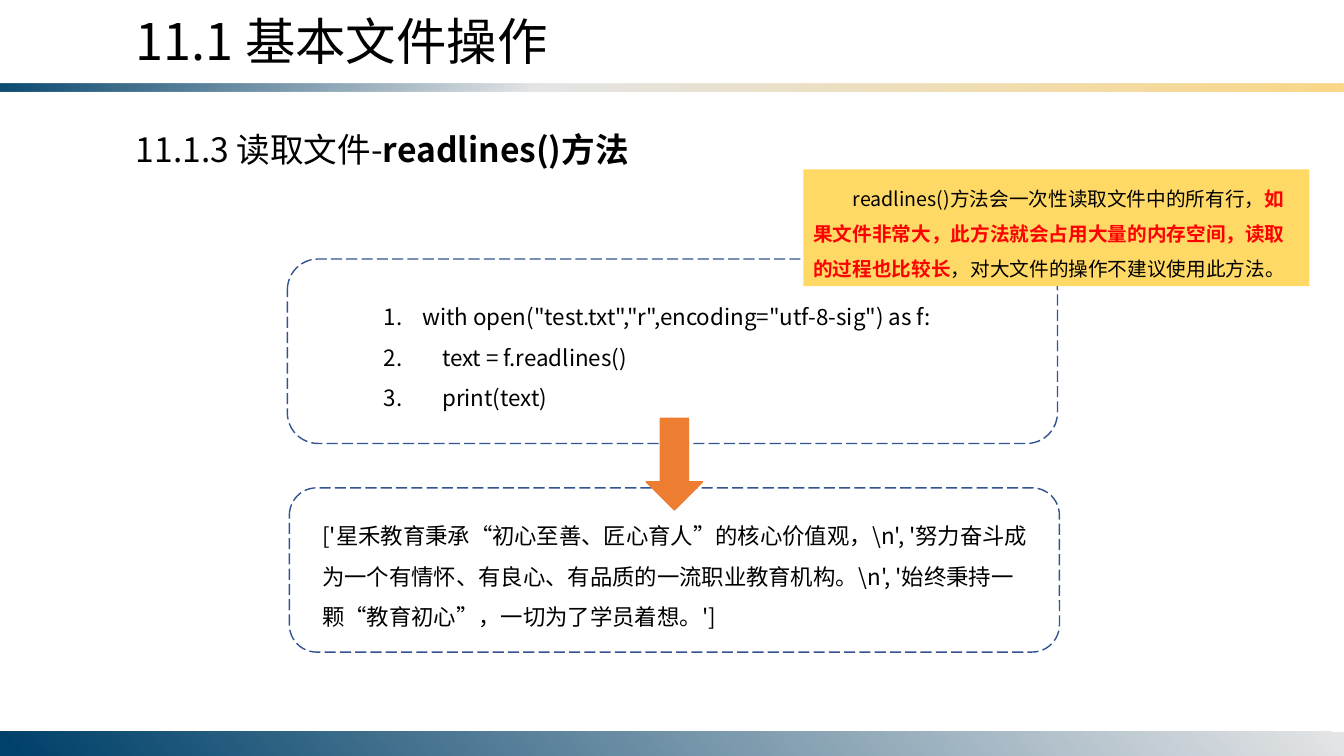
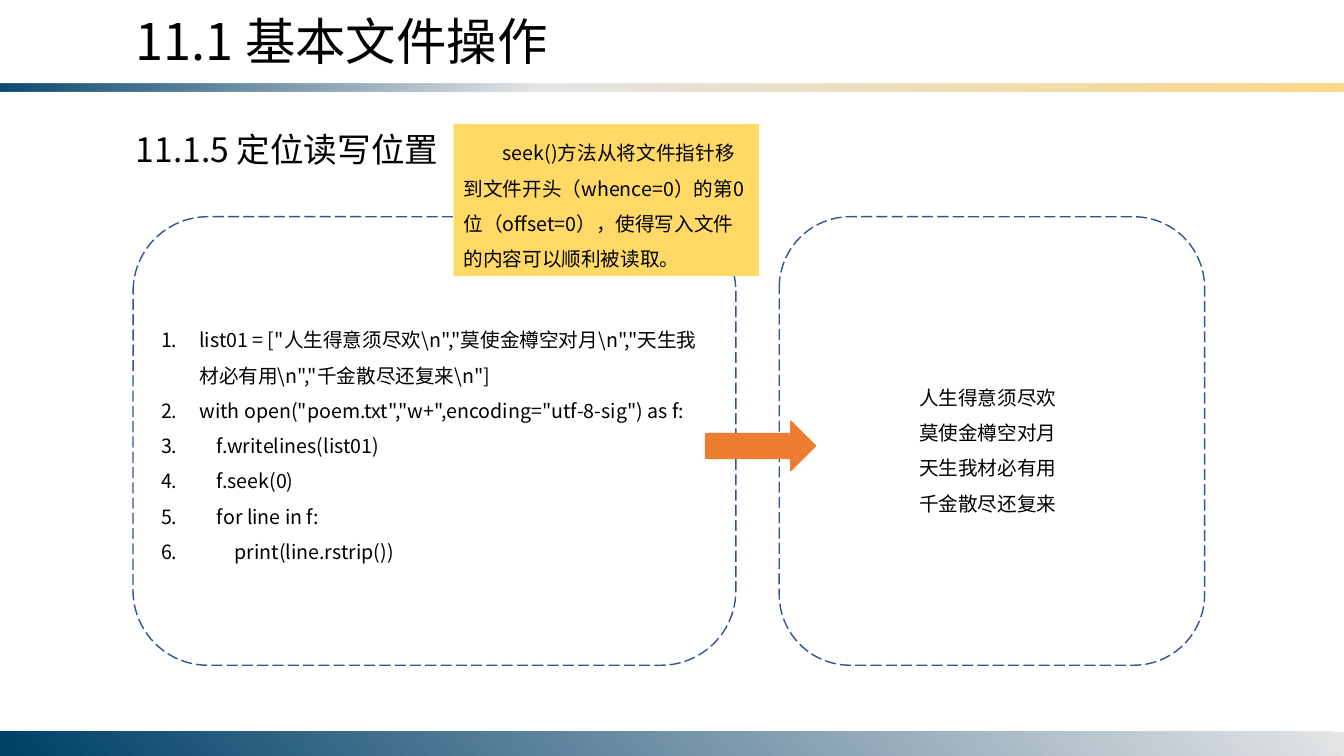
"""Build two slides on reading files and moving the file position."""
import pptx
import pptx.dml.color
import pptx.enum.dml
import pptx.enum.shapes
import pptx.enum.text
import pptx.oxml
import pptx.oxml.ns
import pptx.util

RGB = pptx.dml.color.RGBColor
SHAPE = pptx.enum.shapes.MSO_SHAPE
WIDTH = pptx.util.Inches(13.333)
HEIGHT = pptx.util.Inches(7.5)
FONT = "Noto Sans CJK SC"

BLACK = RGB(0x00, 0x00, 0x00)
RED = RGB(0xFF, 0x00, 0x00)
NAVY = RGB(0x00, 0x41, 0x6A)
SILVER = RGB(0xE4, 0xE5, 0xE6)
GOLD = RGB(0xFB, 0xD7, 0x86)
OUTLINE = RGB(0x32, 0x54, 0x91)
ORANGE = RGB(0xED, 0x7D, 0x31)
YELLOW = RGB(0xFF, 0xD9, 0x66)


def area(left, top, width, height):
    """Turn percentages of the slide into lengths."""
    return (int(WIDTH * left / 100), int(HEIGHT * top / 100),
            int(WIDTH * width / 100), int(HEIGHT * height / 100))


def add_plain_shape(slide, kind, box):
    """Add a preset shape without shadow, fill or line."""
    sp = slide.shapes.add_shape(kind, *area(*box))
    sp.shadow.inherit = False
    sp.fill.background()
    sp.line.fill.background()
    return sp


def add_band(slide, box, stops, angle):
    """Add a gradient band from (position, colour, opacity) stops."""
    sp = add_plain_shape(slide, SHAPE.RECTANGLE, box)
    stop_xml = "".join(
        f'<a:gs pos="{pos * 1000}"><a:srgbClr val="{color}">'
        f'<a:alpha val="{opacity * 1000}"/></a:srgbClr></a:gs>'
        for pos, color, opacity in stops)
    gradient = pptx.oxml.parse_xml(
        f'<a:gradFill {pptx.oxml.ns.nsdecls("a")} rotWithShape="1">'
        f'<a:gsLst>{stop_xml}</a:gsLst>'
        f'<a:lin ang="{angle * 60000}" scaled="0"/></a:gradFill>')
    spPr = sp.fill._xPr
    spPr.replace(spPr.find(pptx.oxml.ns.qn("a:noFill")), gradient)


def format_run(r, size, color, bold):
    """Apply the shared font to a run, for Latin and Chinese text."""
    r.font.size = pptx.util.Pt(size)
    r.font.name = FONT
    r.font.color.rgb = color
    r.font.bold = bold
    ea = pptx.oxml.parse_xml(
        f'<a:ea {pptx.oxml.ns.nsdecls("a")} typeface="{FONT}"/>')
    r.font._element.find(pptx.oxml.ns.qn("a:latin")).addnext(ea)


def write(tf, paragraphs, size, spacing=1.0, accent=BLACK, margin=0, indent=0, numbered=False):
    """Write paragraphs, each a list of runs where every second run is bold."""
    tf.word_wrap = True
    tf.auto_size = pptx.enum.text.MSO_AUTO_SIZE.SHAPE_TO_FIT_TEXT
    for i, runs in enumerate(paragraphs):
        p = tf.add_paragraph() if i else tf.paragraphs[0]
        p.alignment = pptx.enum.text.PP_ALIGN.LEFT
        p.line_spacing = spacing
        pPr = p._p.get_or_add_pPr()
        pPr.set("marL", str(pptx.util.Inches(margin)))
        pPr.set("indent", str(pptx.util.Inches(indent)))
        if numbered:
            pPr.append(pptx.oxml.parse_xml(
                f'<a:buAutoNum {pptx.oxml.ns.nsdecls("a")} type="arabicPeriod"/>'))
        for j, text in enumerate(runs):
            r = p.add_run()
            r.text = text
            strong = j % 2 == 1
            format_run(r, size, accent if strong else BLACK, strong)


def add_text(slide, box, paragraphs, size, **style):
    """Add a text box."""
    sp = slide.shapes.add_textbox(*area(*box))
    write(sp.text_frame, paragraphs, size, **style)


def add_code(slide, box, lines, size):
    """Add a numbered code listing."""
    add_text(slide, box, [[line] for line in lines], size, spacing=1.5,
             margin=0.38, indent=-0.38, numbered=True)


def add_panel(slide, box):
    """Add a rounded dashed frame."""
    sp = add_plain_shape(slide, SHAPE.ROUNDED_RECTANGLE, box)
    sp.line.color.rgb = OUTLINE
    sp.line.width = pptx.util.Pt(1)
    sp.line.dash_style = pptx.enum.dml.MSO_LINE.LONG_DASH


def add_arrow(slide, kind, box):
    """Add an orange block arrow."""
    sp = add_plain_shape(slide, kind, box)
    sp.fill.solid()
    sp.fill.fore_color.rgb = ORANGE
    sp.line.color.rgb = ORANGE
    sp.line.width = pptx.util.Pt(1)


def add_note(slide, box, runs):
    """Add a yellow note with an indented first line."""
    sp = add_plain_shape(slide, SHAPE.RECTANGLE, box)
    sp.fill.solid()
    sp.fill.fore_color.rgb = YELLOW
    write(sp.text_frame, [runs], 14, spacing=1.5, accent=RED, indent=0.39)


def add_lesson_slide(prs, heading):
    """Add a slide with the shared bands, chapter title and section heading."""
    slide = prs.slides.add_slide(prs.slide_layouts[6])
    add_band(slide, (0, 11.07, 100, 1.07),
             [(0, NAVY, 95), (40, SILVER, 100), (100, GOLD, 100)], 50)
    add_band(slide, (0, 96.8, 100, 3.2), [(0, SILVER, 100), (99, NAVY, 100)], 140)
    add_text(slide, (9.38, 0.67, 45.9, 9.47), [["11.1 基本文件操作"]], 36)
    add_text(slide, (9.38, 16.4, 38.7, 6.67), [heading], 24)
    return slide


def build_readlines(prs):
    """Build the slide on readlines()."""
    slide = add_lesson_slide(prs, ["11.1.3 读取文件-", "readlines()方法"])
    add_code(slide, (27.83, 37.73, 44.4, 17.47), [
        'with open("test.txt","r",encoding="utf-8-sig") as f:',
        "    text = f.readlines()",
        "    print(text)",
    ], 16)
    add_panel(slide, (21.38, 34.27, 57.3, 24.4))
    add_text(slide, (23.25, 66.67, 53.93, 17.47), [[
        r"['星禾教育秉承“初心至善、匠心育人”的核心价值观，\n', "
        r"'努力奋斗成为一个有情怀、有良心、有品质的一流职业教育机构。\n', "
        r"'始终秉持一颗“教育初心”，一切为了学员着想。']"]], 16, spacing=1.5)
    add_panel(slide, (21.53, 64.53, 57.3, 21.73))
    add_arrow(slide, SHAPE.DOWN_ARROW, (48.08, 55.33, 4.2, 12.13))
    add_note(slide, (59.78, 22.4, 37.65, 15.47), [
        "readlines()方法会一次性读取文件中的所有行，",
        "如果文件非常大，此方法就会占用大量的内存空间，读取的过程也比较长",
        "，对大文件的操作不建议使用此方法。",
    ])


def build_seek(prs):
    """Build the slide on seek()."""
    slide = add_lesson_slide(prs, ["11.1.5 定位读写位置"])
    verses = ["人生得意须尽欢", "莫使金樽空对月", "天生我材必有用", "千金散尽还复来"]
    items = ",".join(rf'"{verse}\n"' for verse in verses)
    add_code(slide, (11.25, 41.2, 42.23, 34.27), [
        f"list01 = [{items}]",
        'with open("poem.txt","w+",encoding="utf-8-sig") as f:',
        "    f.writelines(list01)",
        "    f.seek(0)",
        "    for line in f:",
        "        print(line.rstrip())",
    ], 14)
    add_panel(slide, (9.9, 28.67, 44.85, 59.33))
    add_text(slide, (67.65, 48.8, 12.23, 20.13), [[verse] for verse in verses],
             14, spacing=1.5)
    add_panel(slide, (57.98, 28.67, 31.65, 59.33))
    add_arrow(slide, SHAPE.RIGHT_ARROW, (52.5, 55.73, 8.18, 6.53))
    add_note(slide, (33.75, 16.4, 22.73, 20.13), [
        "seek()方法从将文件指针移到文件开头（whence=0）的第0位（offset=0），"
        "使得写入文件的内容可以顺利被读取。"])


def main():
    """Create and save the presentation."""
    prs = pptx.Presentation()
    prs.slide_width = WIDTH
    prs.slide_height = HEIGHT
    build_readlines(prs)
    build_seek(prs)
    prs.save("out.pptx")


if __name__ == "__main__":
    main()
